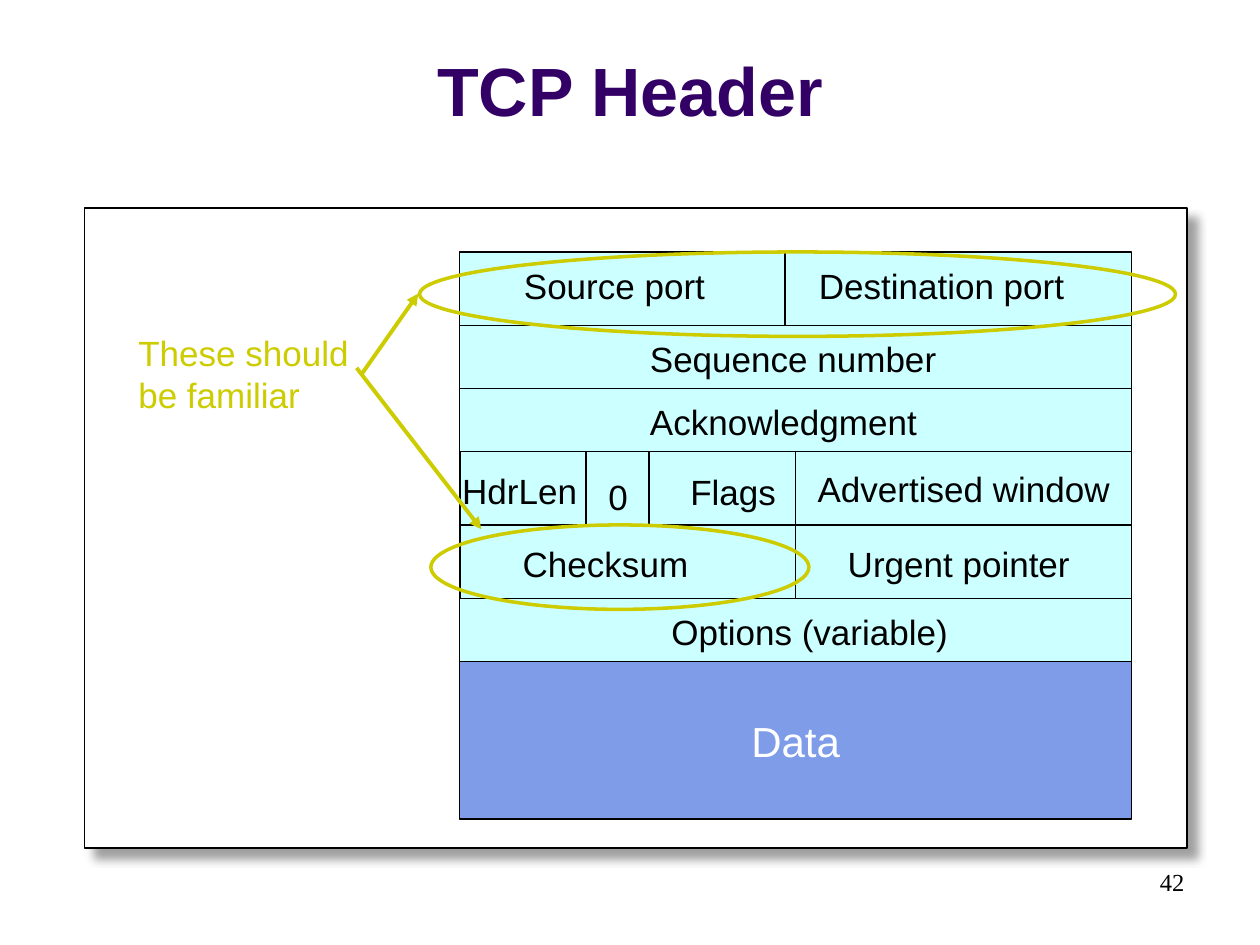
from itertools import accumulate

from lxml import etree
from pptx import Presentation
from pptx import util as u
from pptx.dml.color import RGBColor
from pptx.enum import shapes, text
from pptx.oxml import parse_xml
from pptx.oxml.ns import nsdecls, qn

BLACK = RGBColor(0x00, 0x00, 0x00)
WHITE = RGBColor(0xFF, 0xFF, 0xFF)
PURPLE = RGBColor(0x33, 0x00, 0x66)
CYAN = RGBColor(0xCC, 0xFF, 0xFF)
BLUE = RGBColor(0x7E, 0x9C, 0xE8)
OLIVE = RGBColor(0xCC, 0xCC, 0x00)

RECT, OVAL = shapes.MSO_SHAPE.RECTANGLE, shapes.MSO_SHAPE.OVAL
LEFT, TOP, WIDTH = 3.65, 2, 5.33
ROW_TWELFTHS = (7, 6, 6, 7, 7, 6, 15)  # row heights in twelfths of an inch
ROW_TOPS = [TOP + n / 12 for n in accumulate(ROW_TWELFTHS, initial=0)]
MIDDLE = 0.5
PORT_SPLIT = 0.484
LABEL_HEIGHT = 0.43

# row, start and end as shares of the header width
FIELDS = [
    (0, 0, PORT_SPLIT), (0, PORT_SPLIT, 1),
    (1, 0, 1), (2, 0, 1),
    (3, 0, MIDDLE), (3, MIDDLE, 1),
    (4, 0, MIDDLE), (4, MIDDLE, 1),
    (5, 0, 1),
]
# words, row, left, drop below the row's top, width
LABELS = [
    ("Source port", 0, 4.06, 0.05, 1.64),
    ("Destination port", 0, 6.4, 0.05, 2.15),
    ("Sequence number", 1, 5.06, 0.05, 2.47),
    ("Acknowledgment", 2, 5.06, 0.05, 2.32),
    ("Advertised window", 3, 6.39, 0.08, 2.52),
    ("HdrLen", 3, 3.57, 0.09, 1.17),
    ("Flags", 3, 5.38, 0.1, 0.88),
    ("0", 3, 4.73, 0.14, 0.36),
    ("Checksum", 4, 4.05, 0.09, 1.51),
    ("Urgent pointer", 4, 6.63, 0.09, 1.96),
    ("Options (variable)", 5, 5.23, 0.05, 2.39),
]


def inches(*lengths):
    return [u.Inches(n) for n in lengths]


def write(sp, lines, size, color, font="Arial", bold=False,
          align=text.PP_ALIGN.LEFT, anchor=text.MSO_ANCHOR.TOP, wrap=False):
    tf = sp.text_frame
    frame = {"word_wrap": wrap, "vertical_anchor": anchor,
             "auto_size": text.MSO_AUTO_SIZE.NONE}
    for name, value in frame.items():
        setattr(tf, name, value)
    tf.text = "\n".join(lines)
    for p in tf.paragraphs:
        p.alignment = align
        for r in p.runs:
            style = {"size": u.Pt(size), "name": font, "bold": bold}
            for name, value in style.items():
                setattr(r.font, name, value)
            r.font.color.rgb = color


def add_box(s, kind, at, fill=None, line=BLACK, weight=0.75):
    sp = s.shapes.add_shape(kind, *inches(*at))
    sp.shadow.inherit = False
    if fill is None:
        sp.fill.background()
    else:
        sp.fill.solid()
        sp.fill.fore_color.rgb = fill
    sp.line.color.rgb = line
    sp.line.width = u.Pt(weight)
    return sp


def add_field(s, row, start, end, fill=CYAN):
    top, bottom = ROW_TOPS[row:row + 2]
    at = (LEFT + start * WIDTH, top, (end - start) * WIDTH, bottom - top)
    return add_box(s, RECT, at, fill)


def add_text(s, at, lines, size, color, **style):
    write(s.shapes.add_textbox(*inches(*at)), lines, size, color, **style)


def add_line(s, start, end, color, weight, arrow=False):
    c = s.shapes.add_connector(shapes.MSO_CONNECTOR.STRAIGHT,
                               *inches(*start, *end))
    c.line.color.rgb = color
    c.line.width = u.Pt(weight)
    if arrow:
        ln = c.line._get_or_add_ln()
        etree.SubElement(ln, qn("a:tailEnd"), type="triangle")
    etree.SubElement(c._element.spPr, qn("a:effectLst"))


def add_panel(s):
    """White panel with a soft shadow towards the lower right."""
    sp = add_box(s, RECT, (0.67, 1.65, 8.75, 5.08), WHITE)
    effects = sp._element.spPr.find(qn("a:effectLst"))
    effects.append(parse_xml(
        f'<a:outerShdw {nsdecls("a")} blurRad="{u.Pt(5)}" dist="{u.Pt(8.5)}"'
        ' dir="2700000" algn="tl" rotWithShape="0"><a:srgbClr val="808080">'
        '<a:alpha val="75000"/></a:srgbClr></a:outerShdw>'))


def add_header(s):
    for field in FIELDS:
        add_field(s, *field)
    for x in (4.65, 5.15):
        add_line(s, (x, ROW_TOPS[3]), (x, ROW_TOPS[4]), BLACK, 0.75)
    for words, row, left, drop, width in LABELS:
        at = (left, ROW_TOPS[row] + drop, width, LABEL_HEIGHT)
        add_text(s, at, [words], 20, BLACK)
    write(add_field(s, 6, 0, 1, BLUE), ["Data"], 24, WHITE,
          align=text.PP_ALIGN.CENTER, anchor=text.MSO_ANCHOR.MIDDLE)


def add_callout(s):
    add_text(s, (1, 2.58, 1.87, 0.77), ["These should", "be familiar"],
             20, OLIVE)
    for at in ((3.33, ROW_TOPS[0], 6, 0.67), (3.42, ROW_TOPS[4], 3, 0.67)):
        add_box(s, OVAL, at, line=OLIVE, weight=2)
    for start, end in (((2.87, 2.97), (3.32, 2.33)),
                       ((2.83, 2.92), (3.82, 4.2))):
        add_line(s, start, end, OLIVE, 2.25, arrow=True)


def main():
    prs = Presentation()
    prs.slide_width, prs.slide_height = inches(10, 7.5)
    s = prs.slides.add_slide(prs.slide_layouts[5])
    title = s.shapes.title
    for name, value in zip(("left", "top", "width", "height"),
                           inches(0, 0.13, 10, 0.95)):
        setattr(title, name, value)
    write(title, ["TCP Header"], 39, PURPLE, bold=True, wrap=True,
          align=text.PP_ALIGN.CENTER, anchor=text.MSO_ANCHOR.BOTTOM)
    add_text(s, (7.17, 6.83, 2.33, 0.5), ["42"], 14, BLACK, wrap=True,
             font="Times New Roman", align=text.PP_ALIGN.RIGHT)
    add_panel(s)
    add_header(s)
    add_callout(s)
    prs.save("out.pptx")


if __name__ == "__main__":
    main()
